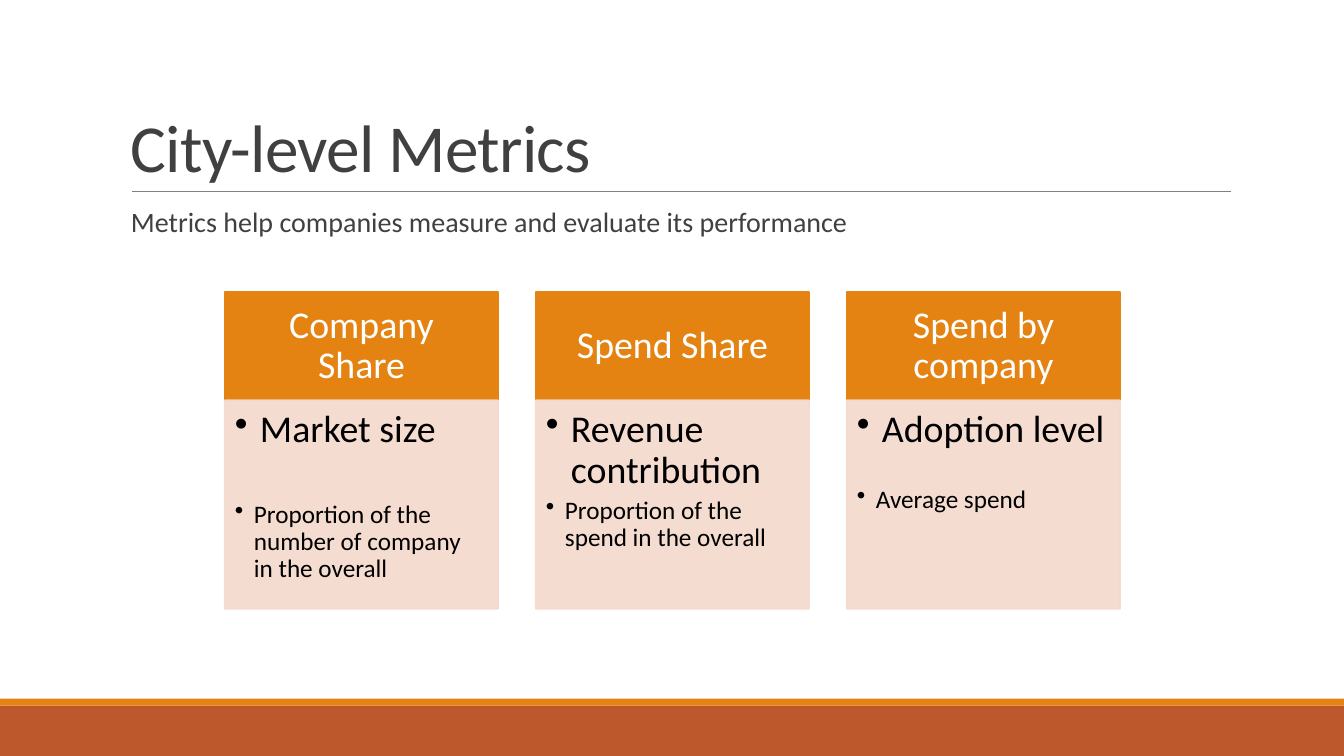
import dataclasses

import pptx
import pptx.dml.color
import pptx.enum.shapes
import pptx.enum.text
import pptx.oxml.ns
import pptx.util
from lxml import etree

ALIGN = pptx.enum.text.PP_ALIGN
ANCHOR = pptx.enum.text.MSO_ANCHOR
Inches, Pt = pptx.util.Inches, pptx.util.Pt
qn = pptx.oxml.ns.qn


@dataclasses.dataclass(frozen=True)
class Theme:
    """Colours, font and type sizes of the slide."""
    font: str = "Calibri"
    orange: str = "E48312"
    rust: str = "BD582C"
    blush: str = "F5D9CC"
    rule: str = "808080"
    heading: str = "404040"
    black: str = "000000"
    white: str = "FFFFFF"
    title_size: int = 48
    subtitle_size: int = 20
    large: int = 27
    small: int = 18


THEME = Theme()
WIDTH, HEIGHT = Inches(13.33), Inches(7.5)
CARD_LEFT, CARD_STEP, CARD_WIDTH = 16.73, 23.14, 20.33
HEAD_TOP, HEAD_HEIGHT, BODY_HEIGHT = 38.67, 14.27, 27.6
CARDS = [
    ("Company Share", "Market size", "Proportion of the number of company in the overall", 32),
    ("Spend Share", "Revenue contribution", "Proportion of the spend in the overall", 0),
    ("Spend by company", "Adoption level", "Average spend", 21),
]


def rgb(code):
    """Turn a hex code into a colour."""
    return pptx.dml.color.RGBColor.from_string(code)


def area(left, top, width, height):
    """Turn percentages of the slide into lengths."""
    return [round(size * share / 100) for size, share in
            ((WIDTH, left), (HEIGHT, top), (WIDTH, width), (HEIGHT, height))]


def apply(target, formats):
    """Set each attribute of the target from a dict."""
    for name, value in formats.items():
        setattr(target, name, value)


def set_frame(shape, margins, anchor):
    """Set wrapping, anchor and margins of a text frame and return it."""
    formats = {"word_wrap": True, "vertical_anchor": anchor}
    sides = ("left", "top", "right", "bottom")
    formats.update({f"margin_{side}": Inches(margin) for side, margin in zip(sides, margins)})
    apply(shape.text_frame, formats)
    return shape.text_frame


def write(paragraph, text, size, color, tracking=None, **formats):
    """Write one run of text into a paragraph."""
    apply(paragraph, {"line_spacing": 0.9, **formats})
    run = paragraph.add_run()
    run.text = text
    apply(run.font, {"name": THEME.font, "size": Pt(size)})
    run.font.color.rgb = rgb(color)
    if tracking:
        run.font._element.set("spc", str(round(tracking * 100)))


def add_bullet(paragraph, indent):
    """Give a paragraph a hanging bullet."""
    properties = paragraph._p.get_or_add_pPr()
    properties.set("marL", str(Inches(indent)))
    properties.set("indent", str(Inches(-indent)))
    etree.SubElement(properties, qn("a:buChar")).set("char", "•")


def add_block(slide, place, color, outlined=False, opacity=100):
    """Add a filled rectangle."""
    shape = slide.shapes.add_shape(pptx.enum.shapes.MSO_SHAPE.RECTANGLE, *area(*place))
    shape.shadow.inherit = False
    shape.fill.solid()
    shape.fill.fore_color.rgb = rgb(color)
    if outlined:
        shape.line.color.rgb = rgb(color)
        shape.line.width = Pt(1.25)
    else:
        shape.line.fill.background()
    if opacity < 100:
        for node in list(shape._element.spPr.iter(qn("a:srgbClr"))):
            etree.SubElement(node, qn("a:alpha")).set("val", str(opacity * 1000))
    return shape


def add_rule(slide, left, right, top):
    """Add the thin line under the title."""
    start_x, start_y, end_x, end_y = area(left, top, right, top)
    line = slide.shapes.add_connector(
        pptx.enum.shapes.MSO_CONNECTOR.STRAIGHT, start_x, start_y, end_x, end_y)
    line.line.color.rgb = rgb(THEME.rule)
    line.line.width = Pt(0.5)
    etree.SubElement(line._element.spPr, qn("a:effectLst"))


def add_text(slide, place, text, size, anchor, **formats):
    """Add a text box with one paragraph."""
    box = slide.shapes.add_textbox(*area(*place))
    frame = set_frame(box, (0.1, 0.05, 0.1, 0.05), anchor)
    write(frame.paragraphs[0], text, size, THEME.heading, **formats)


def add_card(slide, column, heading, measure, detail, gap):
    """Add one metric with its heading and bullets."""
    left = CARD_LEFT + column * CARD_STEP
    head = add_block(slide, (left, HEAD_TOP, CARD_WIDTH, HEAD_HEIGHT), THEME.orange, True)
    frame = set_frame(head, (0.21, 0.12, 0.21, 0.12), ANCHOR.MIDDLE)
    write(frame.paragraphs[0], heading, THEME.large, THEME.white, alignment=ALIGN.CENTER)

    body = add_block(slide, (left, HEAD_TOP + HEAD_HEIGHT, CARD_WIDTH, BODY_HEIGHT),
                     THEME.blush, True, 90)
    frame = set_frame(body, (0.1, 0.1, 0.14, 0.16), ANCHOR.TOP)
    bullets = ((frame.paragraphs[0], measure, THEME.large, 0.25, 0),
               (frame.add_paragraph(), detail, THEME.small, 0.19, gap))
    for paragraph, text, size, indent, before in bullets:
        add_bullet(paragraph, indent)
        write(paragraph, text, size, THEME.black, alignment=ALIGN.LEFT,
              space_before=Pt(before), space_after=Pt(size * 0.15))


def main():
    """Build the slide and save it."""
    presentation = pptx.Presentation()
    apply(presentation, {"slide_width": WIDTH, "slide_height": HEIGHT})
    slide = presentation.slides.add_slide(presentation.slide_layouts[6])
    add_block(slide, (0, 93.33, 100, 6.67), THEME.rust)
    add_block(slide, (0, 92.4, 100, 0.93), THEME.orange)
    add_rule(slide, 9.83, 91.6, 25.33)
    add_text(slide, (9, 4.13, 82.5, 21.2), "City-level Metrics", THEME.title_size,
             ANCHOR.BOTTOM, tracking=-0.5, line_spacing=0.85)
    add_text(slide, (9, 26.93, 59.55, 11.07),
             "Metrics help companies measure and evaluate its performance",
             THEME.subtitle_size, ANCHOR.TOP)
    for column, card in enumerate(CARDS):
        add_card(slide, column, *card)
    presentation.save("out.pptx")


if __name__ == "__main__":
    main()
